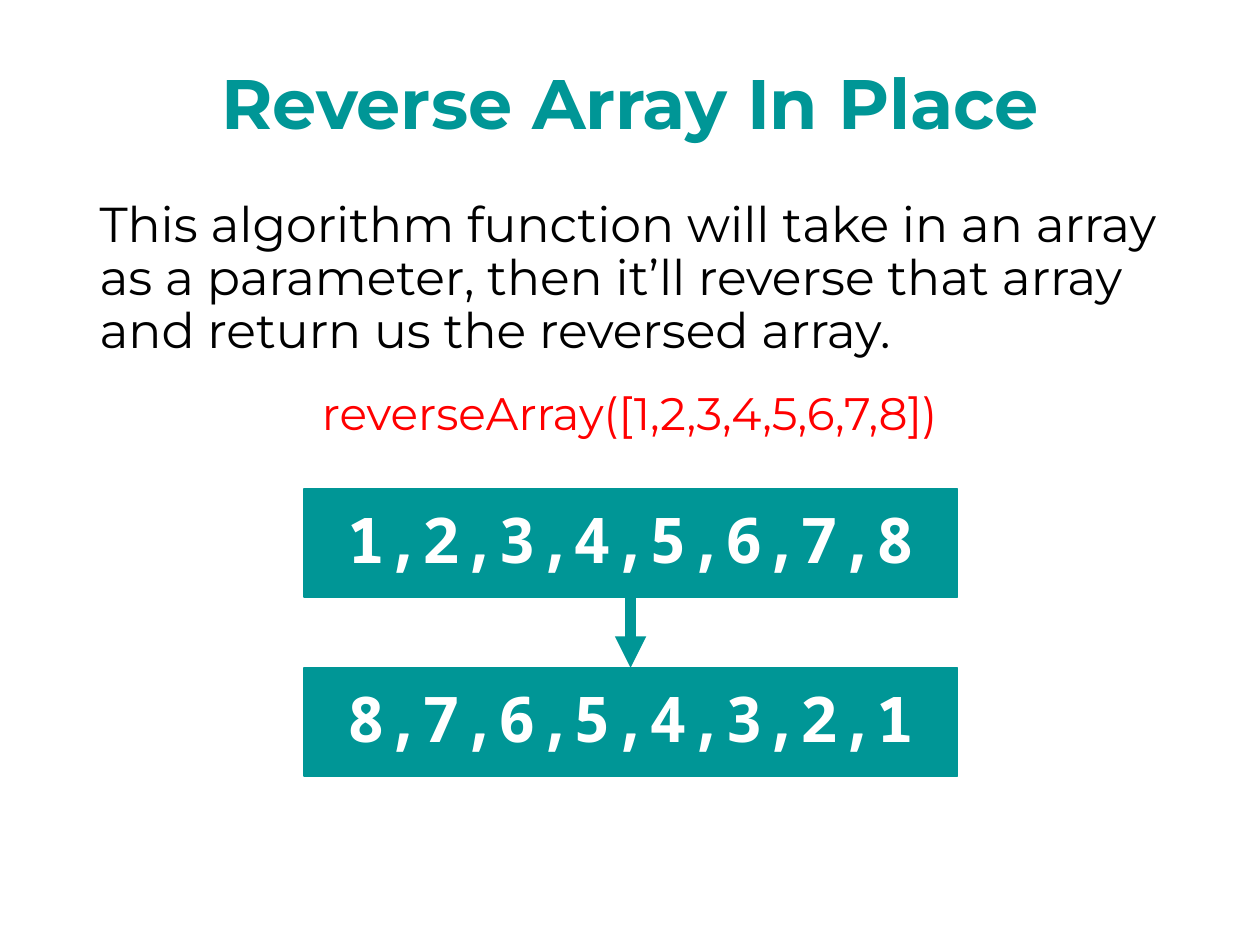
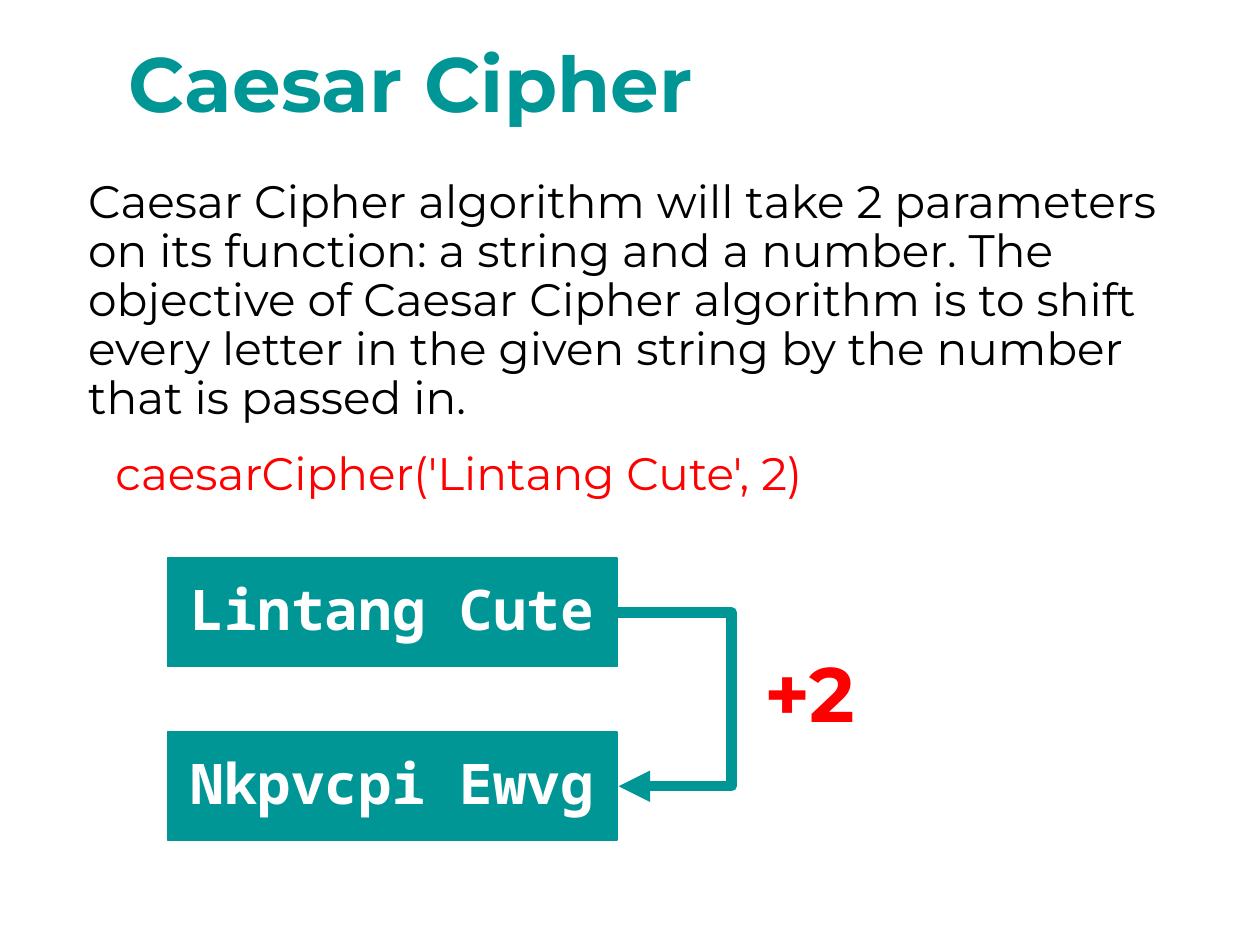
from lxml import etree
from pptx import Presentation
from pptx.dml.color import RGBColor
from pptx.enum import shapes, text
from pptx.oxml import ns
from pptx.util import Inches, Pt

# Shared look
TEAL = RGBColor(0x00, 0x96, 0x96)
RED = RGBColor(0xFF, 0x00, 0x00)
BLACK = RGBColor(0x00, 0x00, 0x00)
WHITE = RGBColor(0xFF, 0xFF, 0xFF)
BODY_FONT = "Montserrat"
CODE_FONT = "Noto Sans Mono"
BOX_HEIGHT = 0.86
ELBOW_REACH = 0.92
ELBOW_WIDTH = 0.01
CENTER = text.PP_ALIGN.CENTER
LEFT = text.PP_ALIGN.LEFT

# Content: text, (left, top, width, height) in inches, size in points
SLIDES = [
    {
        "title": ("Reverse Array In Place", (0, 0.09, 10, 1.52), 40),
        "body": ("This algorithm function will take in an array as a parameter, "
                 "then it\u2019ll reverse that array and return us the reversed array.",
                 (0.69, 0.95, 8.67, 2.54), 28),
        "call": ("reverseArray([1,2,3,4,5,6,7,8])", (0, 2.69, 10, 1.22), 26),
        "boxes": {"texts": ("1,2,3,4,5,6,7,8", "8,7,6,5,4,3,2,1"),
                  "left": 2.41, "tops": (3.88, 5.3), "width": 5.19, "size": 36},
        "arrow": "straight",
    },
    {
        "title": ("Caesar Cipher", (0.09, 0.09, 6.34, 1.21), 44),
        "body": ("Caesar Cipher algorithm will take 2 parameters on its function: "
                 "a string and a number. The objective of Caesar Cipher algorithm "
                 "is to shift every letter in the given string by the number that "
                 "is passed in.", (0.6, 0.91, 8.83, 2.97), 26),
        "call": ("caesarCipher('Lintang Cute', 2)", (0, 3.1, 7.29, 1.35), 26),
        "boxes": {"texts": ("Lintang Cute", "Nkpvcpi Ewvg"),
                  "left": 1.33, "tops": (4.43, 5.81), "width": 3.57, "size": 32},
        "arrow": "elbow",
        "shift": ("+2", (5.84, 4.86, 1.17, 1.35), 44),
    },
]


def write(shape, words, size, color, bold=False, font=BODY_FONT, align=CENTER):
    frame = shape.text_frame
    frame.text = words
    frame.word_wrap = True
    frame.auto_size = text.MSO_AUTO_SIZE.NONE
    frame.vertical_anchor = text.MSO_ANCHOR.MIDDLE
    paragraph = frame.paragraphs[0]
    paragraph.alignment = align
    paragraph.line_spacing = 0.9
    paragraph.space_before = Pt(0)
    run_font = paragraph.runs[0].font
    run_font.name, run_font.size, run_font.bold = font, Pt(size), bold
    run_font.color.rgb = color


def fill_placeholder(shape, content, color, **style):
    words, place, size = content
    shape.left, shape.top, shape.width, shape.height = map(Inches, place)
    write(shape, words, size, color, **style)


def remove_bullet(paragraph):
    properties = paragraph._p.get_or_add_pPr()
    properties.set("marL", "0")
    properties.set("indent", "0")
    etree.SubElement(properties, ns.qn("a:buNone"))


def add_label(slide, content, color, **style):
    words, place, size = content
    label = slide.shapes.add_textbox(*map(Inches, place))
    write(label, words, size, color, **style)


def add_boxes(slide, boxes):
    for words, top in zip(boxes["texts"], boxes["tops"]):
        box = slide.shapes.add_shape(
            shapes.MSO_SHAPE.RECTANGLE, Inches(boxes["left"]), Inches(top),
            Inches(boxes["width"]), Inches(BOX_HEIGHT))
        box.shadow.inherit = False
        box.fill.solid()
        box.fill.fore_color.rgb = TEAL
        box.line.color.rgb = TEAL
        box.line.width = Pt(1)
        write(box, words, boxes["size"], WHITE, bold=True, font=CODE_FONT)


def add_arrow(slide, kind, boxes):
    first, second = boxes["tops"]
    if kind == "straight":
        center = boxes["left"] + boxes["width"] / 2
        connector_type = shapes.MSO_CONNECTOR.STRAIGHT
        ends = (center, first + BOX_HEIGHT, center, second)
    else:
        right = boxes["left"] + boxes["width"]
        connector_type = shapes.MSO_CONNECTOR.ELBOW
        ends = (right, first + BOX_HEIGHT / 2,
                right + ELBOW_WIDTH, second + BOX_HEIGHT / 2)
    arrow = slide.shapes.add_connector(connector_type, *map(Inches, ends))
    arrow.line.color.rgb = TEAL
    arrow.line.width = Pt(6)
    properties = arrow._element.spPr
    etree.SubElement(arrow.line._get_or_add_ln(), ns.qn("a:tailEnd"), type="triangle")
    etree.SubElement(properties, ns.qn("a:effectLst"))
    if kind == "elbow":
        # The bend lies outside the connector, as a share of its width
        geometry = properties.find(ns.qn("a:prstGeom"))
        guides = geometry.find(ns.qn("a:avLst"))
        bend = round(ELBOW_REACH / ELBOW_WIDTH * 100000)
        etree.SubElement(guides, ns.qn("a:gd"), name="adj1", fmla=f"val {bend}")


# Build the slides
presentation = Presentation()
presentation.slide_width = Inches(10)
presentation.slide_height = Inches(7.5)

for content in SLIDES:
    slide = presentation.slides.add_slide(presentation.slide_layouts[1])
    body = slide.placeholders[1]
    fill_placeholder(slide.shapes.title, content["title"], TEAL, bold=True)
    fill_placeholder(body, content["body"], BLACK, align=LEFT)
    remove_bullet(body.text_frame.paragraphs[0])
    add_label(slide, content["call"], RED)
    add_boxes(slide, content["boxes"])
    add_arrow(slide, content["arrow"], content["boxes"])
    if "shift" in content:
        add_label(slide, content["shift"], RED, bold=True)

presentation.save("out.pptx")
